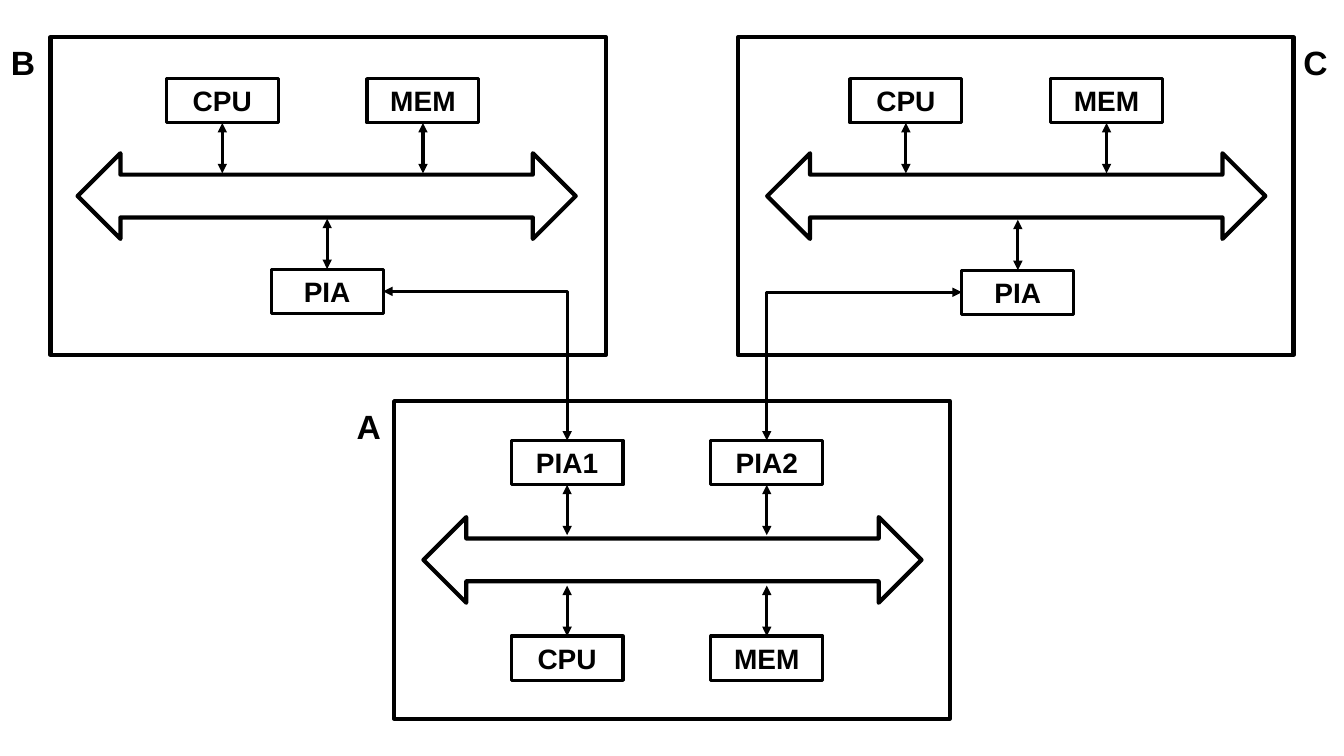
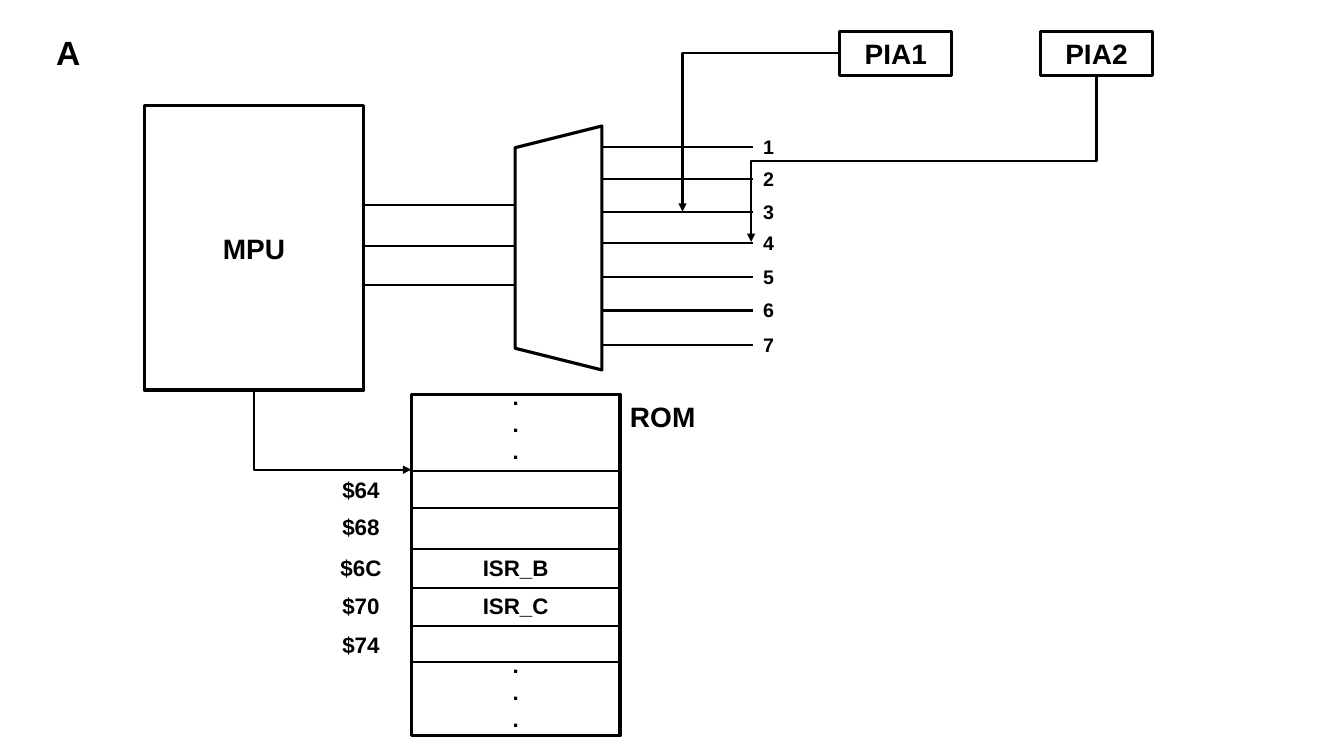
from dataclasses import dataclass

from lxml.etree import SubElement
from pptx import Presentation
from pptx.dml.color import RGBColor
from pptx.enum.shapes import MSO_CONNECTOR as Link, MSO_SHAPE as Shape
from pptx.enum.text import MSO_ANCHOR as Anchor, PP_ALIGN as Align
from pptx.oxml.ns import qn
from pptx.util import Pt


@dataclass(frozen=True)
class Theme:
    ink: RGBColor = RGBColor(0, 0, 0)
    font: str = "Arial"
    label: int = 24
    chip: int = 20
    cell: int = 16
    level: int = 14
    heavy: float = 3
    medium: float = 2.25
    thin: float = 1.5


THEME = Theme()

# Sizes shared by both slides, 100 px to the inch
SLIDE = (1333, 750)
CHIP = (111, 44)
PANEL = (551, 315)
BUS = (494, 85)
BUS_DROP = 115
BUS_LINK = 50
LABEL = (50, 50)

# Slide 1: three computers, chips above and below each bus
SYSTEMS = [
    {"name": "A", "panel": (391, 398), "label_x": 344, "bus_x": 420,
     "above": [("PIA1", 507, 437), ("PIA2", 705, 437)],
     "below": [("CPU", 507, 631), ("MEM", 705, 631)]},
    {"name": "B", "panel": (50, 37), "label_x": 1, "bus_x": 77,
     "above": [("CPU", 165, 78), ("MEM", 364, 78)],
     "below": [("PIA", 269, 267)]},
    {"name": "C", "panel": (732, 37), "label_x": 1283, "bus_x": 761,
     "above": [("CPU", 843, 78), ("MEM", 1042, 78)],
     "below": [("PIA", 954, 268)]},
]

# Slide 2: interrupt wiring and vector table of computer A
SYSTEM_LABEL = ("A", 46, 27)
PROCESSOR = ("MPU", 143, 105, 218, 282)
ENCODER = (433, 203, 242, 86)
ENCODER_OUT = (360, 511, [203, 244, 283])
ENCODER_IN = (596, 747, [146, 178, 210, 241, 275, 308, 342])
PORTS = [("PIA1", 833, 31), ("PIA2", 1032, 31)]
PORT1_DROP_X = 677
PORT2_TURN_Y = 160
PORT2_END = (745, 240)
ROM = (408, 391, 207, 339)
VECTORS = [  # address, content, top of row
    ("$64", "", 467), ("$68", "", 504), ("$6C", "ISR_B", 545),
    ("$70", "ISR_C", 583), ("$74", "", 621)]
VECTORS_END = 657
DOTS_TOPS = [375, 641]
ADDRESS = (318, 80)


def px(length):
    return round(length * 9144)


def write(frame, lines, size, align):
    frame.word_wrap = True
    for i, line in enumerate(lines):
        paragraph = frame.paragraphs[0] if i == 0 else frame.add_paragraph()
        paragraph.text = line
        paragraph.alignment = align
        font = paragraph.font
        font.name, font.size, font.bold = THEME.font, Pt(size), True
        font.color.rgb = THEME.ink


def outline(slide, kind, area, weight, text=""):
    shape = slide.shapes.add_shape(kind, *map(px, area))
    shape.shadow.inherit = False
    shape.fill.background()
    shape.line.color.rgb = THEME.ink
    shape.line.width = Pt(weight)
    if text:
        shape.text_frame.vertical_anchor = Anchor.MIDDLE
        write(shape.text_frame, [text], THEME.chip, Align.CENTER)
    return shape


def chip(slide, name, x, y):
    outline(slide, Shape.RECTANGLE, (x, y, *CHIP), THEME.medium, name)


def caption(slide, text, area, size, align=Align.LEFT):
    box = slide.shapes.add_textbox(*map(px, area))
    write(box.text_frame, text.split("\n"), size, align)


def wire(slide, start, end, weight, arrows=(), kind=Link.STRAIGHT):
    line = slide.shapes.add_connector(kind, *map(px, (*start, *end)))
    line.line.color.rgb = THEME.ink
    line.line.width = Pt(weight)
    properties = line._element.spPr
    for tip in arrows:
        SubElement(properties.find(qn("a:ln")), qn(f"a:{tip}")).set("type", "triangle")
    SubElement(properties, qn("a:effectLst"))
    return line


def corner(slide, start, end, weight, arrows):
    """One bend: level from start, then upright to end."""
    line = wire(slide, start, end, weight, arrows, Link.ELBOW)
    line._element.spPr.find(qn("a:prstGeom")).set("prst", "bentConnector2")


def step(slide, start, end, turn_y, weight, arrows):
    """Two bends: down to turn_y, left, then down to end."""
    (x1, y1), (x2, y2) = start, end
    mid_x, mid_y = (x1 + x2) / 2, (y1 + y2) / 2
    drop, run = y2 - y1, x1 - x2
    line = wire(slide, (mid_x - drop / 2, mid_y - run / 2),
                (mid_x + drop / 2, mid_y + run / 2), weight, arrows, Link.ELBOW)
    properties = line._element.spPr
    properties.find(qn("a:xfrm")).set("rot", str(90 * 60000))
    guides = properties.find(qn("a:prstGeom")).get_or_add_avLst()
    guide = SubElement(guides, qn("a:gd"))
    guide.set("name", "adj1")
    guide.set("fmla", f"val {round((turn_y - y1) / drop * 100000)}")


def draw_systems(slide):
    both = ("headEnd", "tailEnd")
    width, height = CHIP
    chips = {}
    for system in SYSTEMS:
        x, y = system["panel"]
        outline(slide, Shape.RECTANGLE, (x, y, *PANEL), THEME.heavy)
        caption(slide, system["name"], (system["label_x"], y, *LABEL), THEME.label)
        outline(slide, Shape.LEFT_RIGHT_ARROW,
                (system["bus_x"], y + BUS_DROP, *BUS), THEME.heavy)
        for side in ("above", "below"):
            for name, left, top in system[side]:
                chip(slide, name, left, top)
                chips[system["name"], name] = (left, top)
                middle = left + width / 2
                link_top = top + height if side == "above" else top - BUS_LINK
                wire(slide, (middle, link_top), (middle, link_top + BUS_LINK),
                     THEME.medium, both)
    # Links between the computers
    for remote, port, edge in (("B", "PIA1", width), ("C", "PIA2", 0)):
        left, top = chips[remote, "PIA"]
        port_left, port_top = chips["A", port]
        corner(slide, (left + edge, top + height / 2),
               (port_left + width / 2, port_top), THEME.medium, both)


def draw_interrupts(slide):
    arrow = ("tailEnd",)
    caption(slide, SYSTEM_LABEL[0], (*SYSTEM_LABEL[1:], *LABEL), THEME.label)

    # Processor and priority encoder
    name, left, top, width, height = PROCESSOR
    outline(slide, Shape.RECTANGLE, (left, top, width, height), THEME.medium, name)
    outline(slide, Shape.TRAPEZOID, ENCODER, THEME.medium).rotation = 270
    for x1, x2, heights in (ENCODER_OUT, ENCODER_IN):
        for y in heights:
            wire(slide, (x1, y), (x2, y), THEME.thin)
    levels = ENCODER_IN[2]
    for number, y in enumerate(levels, 1):
        caption(slide, str(number), (ENCODER_IN[1], y - 17, 40, 34), THEME.level)

    # Ports and their interrupt levels
    for port in PORTS:
        chip(slide, *port)
    (_, x1, y1), (_, x2, y2) = PORTS
    corner(slide, (x1, y1 + CHIP[1] / 2), (PORT1_DROP_X, levels[2]),
           THEME.thin, arrow)
    step(slide, (x2 + CHIP[0] / 2, y2 + CHIP[1]), PORT2_END, PORT2_TURN_Y,
         THEME.thin, arrow)

    # Vector table in ROM
    rom_x, rom_y, rom_width, _ = ROM
    rom_right = rom_x + rom_width
    outline(slide, Shape.RECTANGLE, ROM, THEME.medium)
    caption(slide, "ROM", (rom_right, rom_y, 100, 44), THEME.chip)
    for y in [row[2] for row in VECTORS] + [VECTORS_END]:
        wire(slide, (rom_x, y), (rom_right, y), THEME.thin)
    for address, content, y in VECTORS:
        caption(slide, address, (ADDRESS[0], y, ADDRESS[1], 37), THEME.cell, Align.CENTER)
        if content:
            caption(slide, content, (rom_x, y, rom_width, 37), THEME.cell, Align.CENTER)
    for y in DOTS_TOPS:
        caption(slide, ".\n.\n.", (rom_x, y, rom_width, 91), THEME.cell, Align.CENTER)
    corner(slide, (rom_x, VECTORS[0][2] - 1), (left + width / 2, top + height),
           THEME.thin, ("headEnd",))


def main():
    deck = Presentation()
    deck.slide_width, deck.slide_height = map(px, SLIDE)
    blank = deck.slide_layouts[6]
    for draw in (draw_systems, draw_interrupts):
        draw(deck.slides.add_slide(blank))
    deck.save("out.pptx")


if __name__ == "__main__":
    main()
